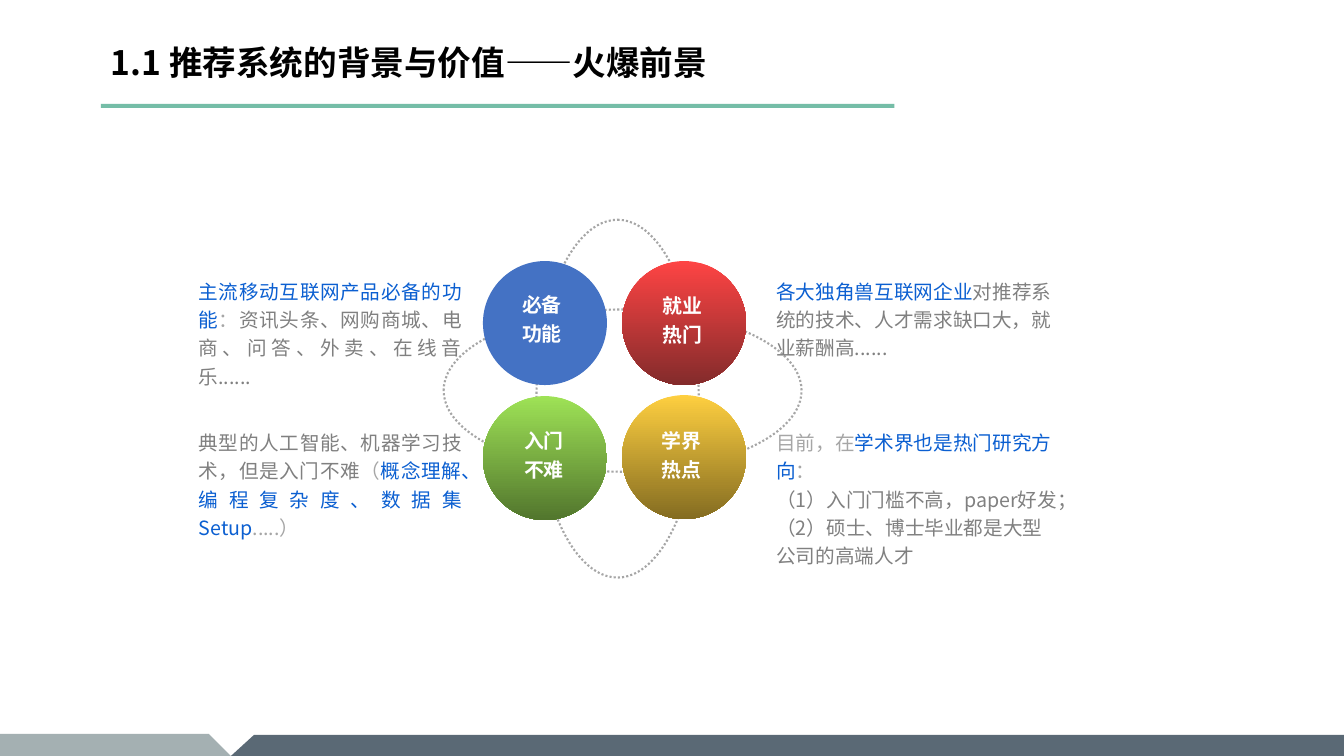
from pptx import Presentation
from pptx.dml.color import RGBColor
from pptx.enum.dml import MSO_LINE_DASH_STYLE as DASH
from pptx.enum.shapes import MSO_SHAPE as SHAPE
from pptx.enum.text import MSO_ANCHOR as ANCHOR, MSO_AUTO_SIZE as AUTOSIZE, PP_ALIGN as ALIGN
from pptx.oxml.xmlchemy import OxmlElement
from pptx.util import Inches, Pt

FONT = "Noto Sans CJK SC"
BLUE, GREY, PALE = "0B5FD1", "808080", "A6A6A6"


def paint(color, value, opacity=100):
    color.rgb = RGBColor.from_string(value)
    if opacity < 100:
        alpha = OxmlElement("a:alpha")
        alpha.set("val", str(opacity * 1000))
        color._xFill.find(".//{*}srgbClr").append(alpha)


def write(frame, paragraphs, size=14, bold=False, align=ALIGN.LEFT, spacing=1.2,
          margins=(0.07, 0.04), anchor=ANCHOR.TOP):
    frame.word_wrap = True
    frame.auto_size = AUTOSIZE.NONE
    frame.vertical_anchor = anchor
    frame.margin_left = frame.margin_right = Inches(margins[0])
    frame.margin_top = frame.margin_bottom = Inches(margins[1])
    for index, pieces in enumerate(paragraphs):
        paragraph = frame.add_paragraph() if index else frame.paragraphs[0]
        paragraph.alignment = align
        paragraph.line_spacing = spacing
        for words, color in pieces:
            run = paragraph.add_run()
            run.text = words
            run.font.size = Pt(size)
            run.font.bold = bold
            run.font.name = FONT
            paint(run.font.color, color)
            east_asian = OxmlElement("a:ea")
            east_asian.set("typeface", FONT)
            run.font._element.find("{*}latin").addnext(east_asian)


deck = Presentation()
deck.slide_width, deck.slide_height = Inches(13.33), Inches(7.5)
slide = deck.slides.add_slide(deck.slide_layouts[5])
shapes = slide.shapes

footer_bands = [
    ([(2.29, 7.5), (2.52, 7.29), (13.33, 7.29), (13.33, 7.5)], "243848", 75),
    ([(0, 7.28), (2.07, 7.28), (2.29, 7.5), (0, 7.5)], "7A8C8E", 68),
]
for corners, color, opacity in footer_bands:
    points = [(Inches(x), Inches(y)) for x, y in corners]
    outline = shapes.build_freeform(*points[0])
    outline.add_line_segments(points[1:], close=True)
    band = outline.convert_to_shape()
    band.shadow.inherit = False
    band.fill.solid()
    paint(band.fill.fore_color, color, opacity)
    band.line.fill.background()

heading = shapes.title
heading.left, heading.top = Inches(1.05), Inches(0.19)
heading.width, heading.height = Inches(8.32), Inches(0.86)
write(heading.text_frame, [[("1.1 推荐系统的背景与价值——火爆前景", "000000")]], size=24, bold=True,
      spacing=1, margins=(0.05, 0.05), anchor=ANCHOR.MIDDLE)

underline = shapes.add_shape(SHAPE.RECTANGLE, Inches(1), Inches(1.03), Inches(7.87), Inches(0.04))
underline.shadow.inherit = False
underline.fill.solid()
paint(underline.fill.fore_color, "75BDA7")
underline.line.fill.background()

for left, top, rotation in [(4.4, 3.07, 0), (4.35, 3.15, 90)]:
    orbit = shapes.add_shape(SHAPE.OVAL, Inches(left), Inches(top), Inches(3.55), Inches(1.61))
    orbit.rotation = rotation
    orbit.shadow.inherit = False
    orbit.fill.background()
    paint(orbit.line.color, PALE)
    orbit.line.width = Pt(1.5)
    orbit.line.dash_style = DASH.ROUND_DOT

topics = [
    (4.79, 2.59, ["4472C4"], ["必备功能"], (5.04, 2.81, 0.67)),
    (6.17, 2.59, ["FE4444", "832B2B"], ["就业热门"], (6.42, 2.82, 0.69)),
    (6.17, 3.92, ["FECF40", "846C21"], ["学界", "热点"], (6.26, 4.16, 1)),
    (4.79, 3.93, ["9EE256", "52762D"], ["入门", "不难"], (4.97, 4.16, 0.85)),
]
for left, top, colors, lines, (label_left, label_top, label_width) in topics:
    circle = shapes.add_shape(SHAPE.OVAL, Inches(left), Inches(top), Inches(1.23), Inches(1.23))
    circle.shadow.inherit = False
    circle.line.fill.background()
    if len(colors) == 1:
        circle.fill.solid()
        paint(circle.fill.fore_color, colors[0])
    else:
        circle.fill.gradient()
        circle.fill.gradient_angle = 270
        for position, (stop, color) in enumerate(zip(circle.fill.gradient_stops, colors)):
            stop.position = position
            paint(stop.color, color)
    label = shapes.add_textbox(Inches(label_left), Inches(label_top), Inches(label_width), Inches(0.67))
    write(label.text_frame, [[(line, "FFFFFF")] for line in lines], size=14.2, bold=True,
          align=ALIGN.CENTER, margins=(0.1, 0.05))

explanations = [
    (1.9, 2.69, 2.75, 0.95, ALIGN.JUSTIFY, [
        [("主流移动互联网产品必备的功能", BLUE), ("：", PALE),
         ("资讯头条、网购商城、电商、问答、外卖、在线音乐......", GREY)]]),
    (7.63, 2.69, 3.03, 0.85, ALIGN.LEFT, [
        [("各大独角兽互联网企业", BLUE), ("对推荐系统的技术、人才需求缺口大，就业薪酬高......", GREY)]]),
    (1.9, 4.19, 2.75, 1.05, ALIGN.JUSTIFY, [
        [("典型的人工智能、机器学习技术，但是入门不难", GREY), ("（", PALE),
         ("概念理解、编程复杂度、数据集Setup", BLUE), (".....）", PALE)]]),
    (7.63, 4.19, 2.96, 1.26, ALIGN.LEFT, [
        [("目前，在", PALE), ("学术界也是热门研究方向", BLUE), ("：", PALE)],
        [("（1）入门门槛不高，paper好发；", GREY)],
        [("（2）硕士、博士毕业都是大型公司的高端人才", GREY)]]),
]
for left, top, width, height, align, paragraphs in explanations:
    explanation = shapes.add_textbox(Inches(left), Inches(top), Inches(width), Inches(height))
    write(explanation.text_frame, paragraphs, align=align)

deck.save("out.pptx")
